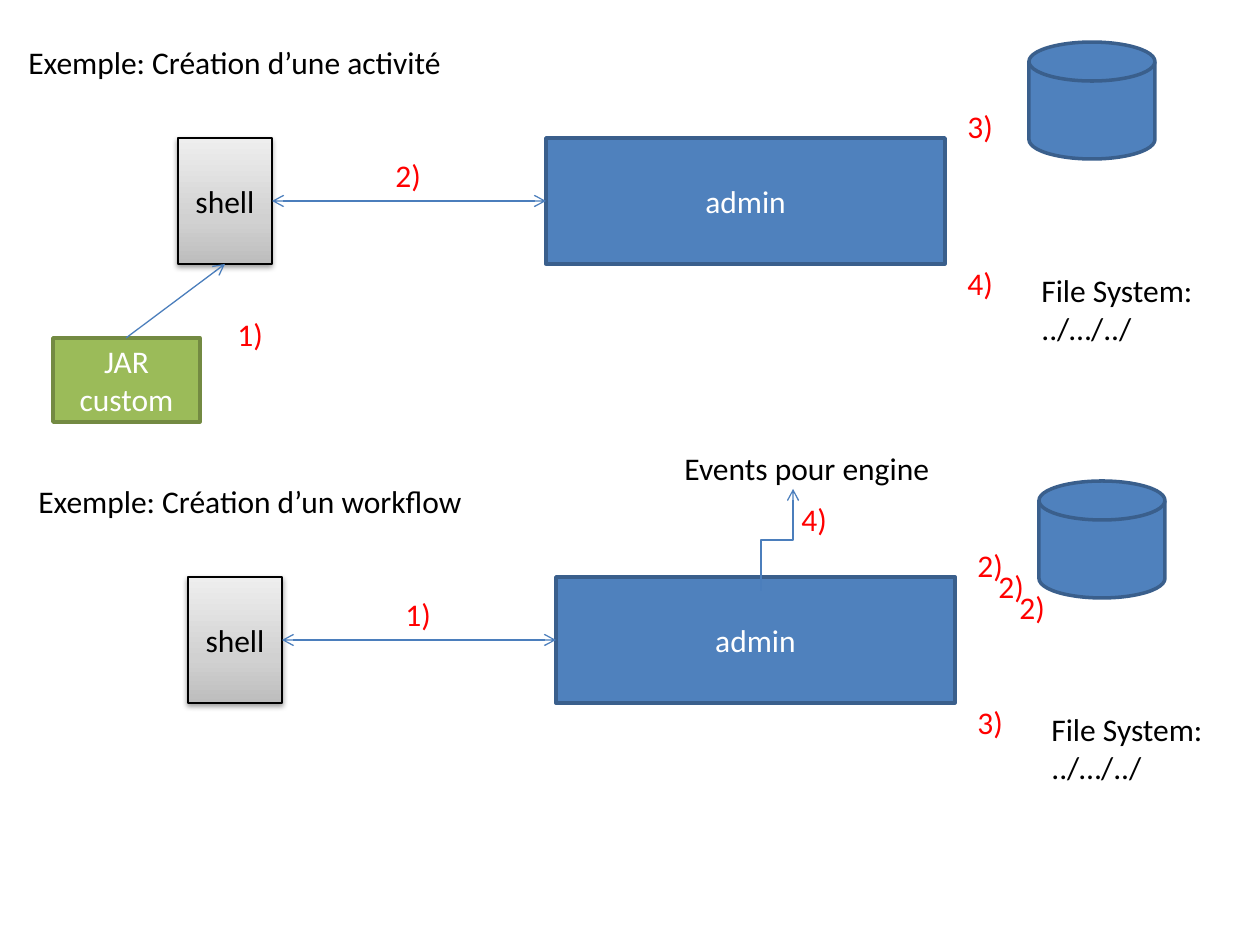
from lxml import etree
from pptx import Presentation
from pptx import util as u
from pptx.dml import color
from pptx.enum import shapes, text
from pptx.oxml import ns, parse_xml

SCALE = 914400 / 126
COLORS = {"blue": "4F81BD", "navy": "3A5F8C", "green": "9BBB59", "olive": "738A42",
          "arrow": "4B7EBC", "black": "000000", "white": "FFFFFF", "red": "FF0000"}
GREYS = [(0, "BDBDBD"), (35, "D1D1D1"), (100, "EEEEEE")]
A = ns.nsdecls("a")
KINDS = shapes.MSO_SHAPE
LINKS = shapes.MSO_CONNECTOR


def px(*values):
    """Turn picture pixels into EMU."""
    return [u.Emu(round(v * SCALE)) for v in values]


def rgb(name):
    """Look up a named colour."""
    return color.RGBColor.from_string(COLORS[name])


class Diagram:
    """Hold the style and the current slide."""

    font = {"name": "Calibri", "size": u.Pt(18)}
    box_frame = {"word_wrap": True, "vertical_anchor": text.MSO_ANCHOR.MIDDLE}
    label_frame = {"word_wrap": False, "auto_size": text.MSO_AUTO_SIZE.SHAPE_TO_FIT_TEXT}

    def __init__(self, slide):
        """Keep the slide to draw on."""
        self.shapes = slide.shapes

    def put_text(self, sp, lines, ink, frame, align):
        """Fill a text frame, one paragraph for each line."""
        tf = sp.text_frame
        for key, value in frame.items():
            setattr(tf, key, value)
        for i, line in enumerate(lines):
            p = tf.paragraphs[0] if i == 0 else tf.add_paragraph()
            p.alignment = align
            r = p.add_run()
            r.text = line
            for key, value in self.font.items():
                setattr(r.font, key, value)
            r.font.color.rgb = rgb(ink)

    def box(self, kind, at, label="", fill="blue", line="navy", ink="white", width=2):
        """Add an outlined shape with centred text."""
        sp = self.shapes.add_shape(kind, *px(*at))
        sp.shadow.inherit = False
        sp.fill.solid()
        sp.fill.fore_color.rgb = rgb(fill)
        sp.line.color.rgb = rgb(line)
        sp.line.width = u.Pt(width)
        if label:
            self.put_text(sp, [label], ink, self.box_frame, text.PP_ALIGN.CENTER)
        return sp

    def shaded_box(self, at, label):
        """Add a grey gradient box with a soft shadow."""
        sp = self.box(KINDS.RECTANGLE, at, label, "white", "black", "black", 0.75)
        spPr = sp._element.spPr
        stops = "".join(f'<a:gs pos="{pos * 1000}"><a:srgbClr val="{grey}"/></a:gs>'
                        for pos, grey in GREYS)
        gradient = parse_xml(f'<a:gradFill {A} rotWithShape="1"><a:gsLst>{stops}</a:gsLst>'
                             '<a:lin ang="16200000" scaled="0"/></a:gradFill>')
        spPr.replace(spPr.find(ns.qn("a:solidFill")), gradient)
        spPr.find(ns.qn("a:effectLst")).append(parse_xml(
            f'<a:outerShdw {A} blurRad="{u.Pt(3.1)}" dist="{u.Pt(1.6)}" dir="5400000" '
            'rotWithShape="0"><a:srgbClr val="000000"><a:alpha val="38000"/></a:srgbClr>'
            '</a:outerShdw>'))

    def label(self, at, *lines, ink="black"):
        """Add free text."""
        sp = self.shapes.add_textbox(*px(*at))
        self.put_text(sp, lines, ink, self.label_frame, text.PP_ALIGN.LEFT)

    def step(self, x, y, number):
        """Add a red step number."""
        self.label((x, y, 52, 50), f"{number})", ink="red")

    def arrow(self, ends, both=False, kind=LINKS.STRAIGHT, turn=0):
        """Add an arrow, turned by whole degrees."""
        cx = self.shapes.add_connector(kind, *px(*ends))
        cx.line.color.rgb = rgb("arrow")
        cx.line.width = u.Pt(0.75)
        spPr = cx._element.spPr
        ln = spPr.find(ns.qn("a:ln"))
        for tag in ["headEnd", "tailEnd"] if both else ["tailEnd"]:
            etree.SubElement(ln, ns.qn(f"a:{tag}"), type="arrow")
        etree.SubElement(spPr, ns.qn("a:effectLst"))
        if turn:
            spPr.find(ns.qn("a:xfrm")).set("rot", str(turn * 60000))

    def scene(self, x, y, title, title_width, steps):
        """Draw shell, admin, disk and file system from one corner."""
        self.box(KINDS.RECTANGLE, (x + 546, y + 138, 399, 126), "admin")
        self.shaded_box((x + 178, y + 138, 94, 126), "shell")
        self.arrow((x + 272, y + 201, x + 546, y + 201), both=True)
        self.label((x + 16, y + 37, title_width, 50), title)
        self.box(KINDS.FLOWCHART_MAGNETIC_DISK, (x + 1029, y + 42, 126, 117))
        self.label((x + 1029, y + 265, 178, 89), "File System:", "../…/../")
        for (dx, dy), number in zip([(383, 150), (955, 101), (955, 258)], steps):
            self.step(x + dx, y + dy, number)


prs = Presentation()
prs.slide_width, prs.slide_height = px(1260, 945)
d = Diagram(prs.slides.add_slide(prs.slide_layouts[6]))

d.scene(0, 0, "Exemple: Création d’une activité", 444, (2, 3, 4))
d.box(KINDS.RECTANGLE, (53, 338, 147, 84), "JAR custom", "green", "olive")
d.arrow((126, 338, 225, 264))
d.step(225, 309, 1)

d.scene(10, 439, "Exemple: Création d’un workflow", 454, (1, 2, 3))
d.arrow((828, 556, 726, 524), kind=LINKS.ELBOW, turn=90)
d.step(789, 494, 4)
d.label((672, 443, 273, 50), "Events pour engine")
for shift in (21, 42):
    d.step(965 + shift, 540 + shift, 2)

prs.save("out.pptx")
